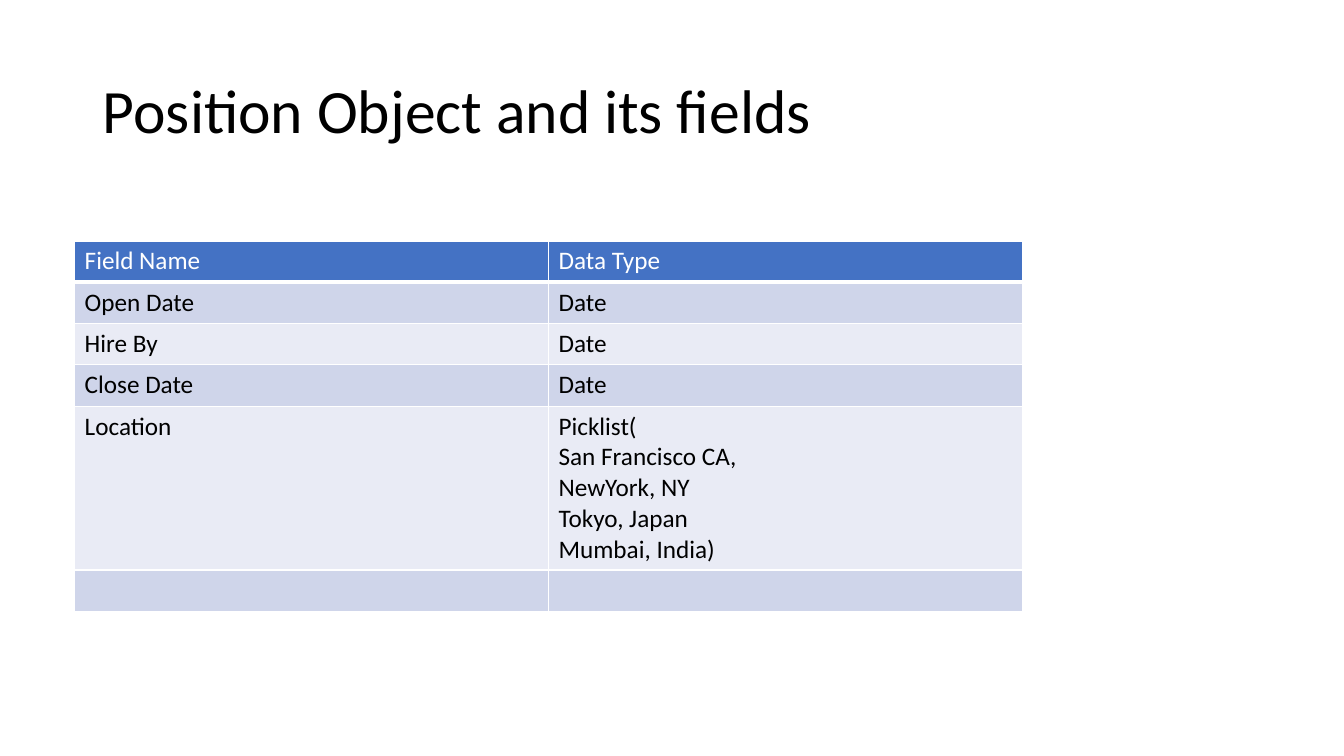
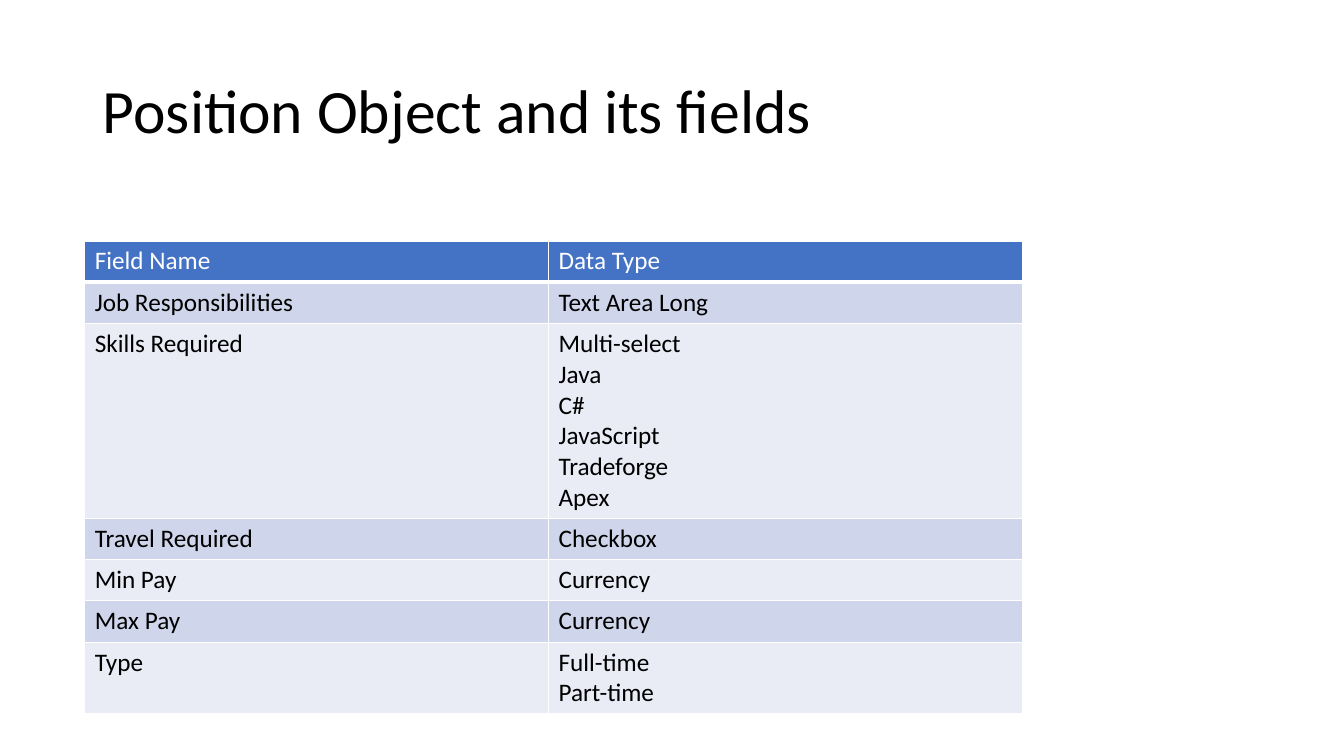
from dataclasses import dataclass

from lxml import etree
from pptx import Presentation
from pptx.dml.color import RGBColor
from pptx.enum.text import MSO_ANCHOR, PP_ALIGN
from pptx.oxml.ns import qn
from pptx.util import Inches, Pt

LEFT = PP_ALIGN.LEFT
MIDDLE = MSO_ANCHOR.MIDDLE


@dataclass(frozen=True)
class Theme:
    """Hold the shared colours, font and sizes."""
    font: str = "Calibri"
    ink: str = "000000"
    white: str = "FFFFFF"
    head: str = "4472C4"
    bands: tuple = ("CFD5EA", "E9EBF5")
    title: int = 44
    body: int = 18
    thin: int = 1
    thick: int = 3


THEME = Theme()
TITLE = "Position Object and its fields"
HEAD = ("Field Name", "Data Type")
TOP, RIGHT, SPLIT = 2.39, 10.14, 5.44
ROW, LINE = 0.41, 0.3

DATES = [
    ("Open Date", "Date"),
    ("Hire By", "Date"),
    ("Close Date", "Date"),
    ("Location", "Picklist(\nSan Francisco CA,\nNewYork, NY\nTokyo, Japan\nMumbai, India)"),
    ("", ""),
]
DUTIES = [
    ("Job Responsibilities", "Text Area Long"),
    ("Skills Required", "Multi-select\nJava\nC#\nJavaScript\nTradeforge\nApex"),
    ("Travel Required", "Checkbox"),
    ("Min Pay", "Currency"),
    ("Max Pay", "Currency"),
    ("Type", "Full-time\nPart-time"),
]


def write(frame, text, size=THEME.body, color=THEME.ink, spacing=None):
    """Write text, one paragraph per line, in the given format."""
    frame.text = text
    for para in frame.paragraphs:
        para.alignment = LEFT
        para.line_spacing = spacing
        para.font.size = Pt(size)
        for run in para.runs:
            font = run.font
            font.name, font.size, font.bold = THEME.font, Pt(size), False
            font.color.rgb = RGBColor.from_string(color)


def edge(cell, base):
    """Draw white borders around a cell, with the base in its own width."""
    props = cell._tc.get_or_add_tcPr()
    for side in "LRTB":
        width = base if side == "B" else THEME.thin
        line = etree.SubElement(props, qn(f"a:ln{side}"), w=str(Pt(width)))
        fill = etree.SubElement(line, qn("a:solidFill"))
        etree.SubElement(fill, qn("a:srgbClr"), val=THEME.white)


def add_title(slide, text):
    """Place and format the title."""
    title = slide.shapes.title
    title.left, title.top = Inches(0.92), Inches(0.4)
    title.width, title.height = Inches(11.5), Inches(1.45)
    title.text_frame.vertical_anchor = MIDDLE
    write(title.text_frame, text, size=THEME.title, spacing=0.9)


def add_grid(slide, left, rows):
    """Add a banded table under the shared header row."""
    rows = [HEAD, *rows]
    highs = [ROW + LINE * max(text.count("\n") for text in row) for row in rows]
    frame = slide.shapes.add_table(
        len(rows), len(HEAD), Inches(left), Inches(TOP),
        Inches(RIGHT - left), Inches(sum(highs)))
    table = frame.table
    for col, width in zip(table.columns, (SPLIT - left, RIGHT - SPLIT)):
        col.width = Inches(width)
    for r, row in enumerate(rows):
        table.rows[r].height = Inches(highs[r])
        for c, text in enumerate(row):
            cell = table.cell(r, c)
            edge(cell, THEME.thin if r else THEME.thick)
            cell.fill.solid()
            shade = THEME.bands[(r - 1) % 2] if r else THEME.head
            cell.fill.fore_color.rgb = RGBColor.from_string(shade)
            write(cell.text_frame, text, color=THEME.ink if r else THEME.white)


def main():
    """Build and save the slides."""
    deck = Presentation()
    deck.slide_width, deck.slide_height = Inches(13.33), Inches(7.5)
    for left, rows in ((0.74, DATES), (0.84, DUTIES)):
        slide = deck.slides.add_slide(deck.slide_layouts.get_by_name("Title Only"))
        add_title(slide, TITLE)
        add_grid(slide, left, rows)
    deck.save("out.pptx")


if __name__ == "__main__":
    main()
